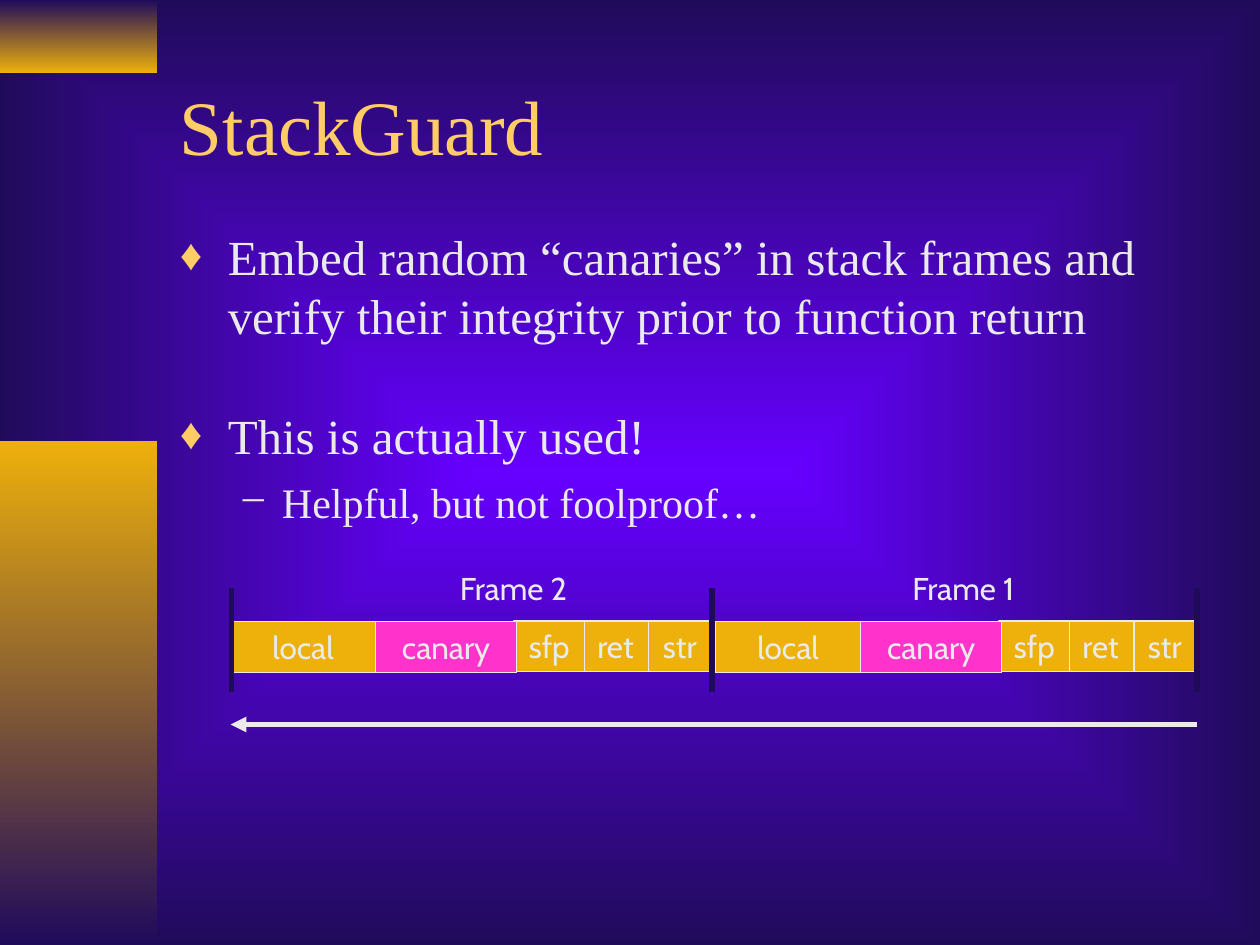
from typing import Any, NamedTuple

from lxml.etree import SubElement
from pptx import Presentation
from pptx.dml.color import RGBColor
from pptx.enum.shapes import MSO_CONNECTOR, MSO_SHAPE
from pptx.enum.text import MSO_ANCHOR, PP_ALIGN
from pptx.oxml.ns import qn
from pptx.util import Inches, Pt

GOLD, PINK, NAVY, VIOLET = "EEB00B", "FF33CC", "200B5B", "6600FF"
PALE, AMBER = "EAEAEA", "FFCC66"
SERIF, SANS = "Times New Roman", "Cabin"


class Cell(NamedTuple):
    label: str
    offset: float
    width: float
    height: float = 0.4
    color: str = GOLD


class Frame(NamedTuple):
    label: str
    left: float
    label_left: float


class Bullet(NamedTuple):
    text: str
    size: int
    level: int
    margin: float
    hanging: float
    mark: str
    mark_color: str
    mark_percent: int
    formats: dict[str, Any]


# Back to front, so that each cell overlaps the one on its right
CELLS = [
    Cell("str", 3.31, 0.51),
    Cell("ret", 2.79, 0.53),
    Cell("sfp", 2.25, 0.56),
    Cell("local", 0, 1.15, 0.41),
    Cell("canary", 1.15, 1.12, 0.41, PINK),
]
FRAMES = [Frame("Frame 1", 5.68, 7.07), Frame("Frame 2", 1.83, 3.5)]
DIVIDERS = [1.84, 5.65, 9.5]
BULLETS = [
    Bullet("Embed random “canaries” in stack frames and verify their integrity "
           "prior to function return", 28, 0, 0.38, 0.38, "♦", AMBER, 90, {}),
    Bullet("This is actually used!", 28, 0, 0.38, 0.38, "♦", AMBER, 90,
           {"space_before": Pt(35)}),
    Bullet("Helpful, but not foolproof…", 24, 1, 0.81, 0.31, "–", PALE, 100,
           {"space_before": Pt(24), "line_spacing": 0.3}),
]


def rgb(color: str) -> RGBColor:
    return RGBColor.from_string(color)


def apply(target: Any, formats: dict[str, Any]) -> None:
    for name, value in formats.items():
        setattr(target, name, value)


def set_gradient(fill: Any, colors: tuple[str, str]) -> None:
    fill.gradient()
    for stop, color in zip(fill.gradient_stops, colors):
        stop.color.rgb = rgb(color)


def add_run(paragraph: Any, text: str, size: int, font: str, color: str) -> None:
    run = paragraph.add_run()
    run.text = text
    apply(run.font, {"size": Pt(size), "name": font})
    run.font.color.rgb = rgb(color)


def add_text_box(slide: Any, left: float, top: float, width: float, height: float,
                 formats: dict[str, Any]) -> Any:
    box = slide.shapes.add_textbox(Inches(left), Inches(top), Inches(width), Inches(height))
    apply(box.text_frame, formats)
    return box.text_frame


def add_rectangle(slide: Any, left: float, top: float, width: float, height: float) -> Any:
    shape = slide.shapes.add_shape(
        MSO_SHAPE.RECTANGLE, Inches(left), Inches(top), Inches(width), Inches(height))
    shape.shadow.inherit = False
    return shape


def add_band(slide: Any, top: float, height: float, colors: tuple[str, str]) -> None:
    band = add_rectangle(slide, 0, top, 1.25, height)
    set_gradient(band.fill, colors)
    band.fill.gradient_angle = 270
    band.line.fill.background()


def add_bullet(paragraph: Any, bullet: Bullet) -> None:
    paragraph.level = bullet.level
    properties = paragraph._p.get_or_add_pPr()
    properties.set("marL", str(Inches(bullet.margin)))
    properties.set("indent", str(-Inches(bullet.hanging)))
    mark_color = SubElement(properties, qn("a:buClr"))
    SubElement(mark_color, qn("a:srgbClr"), val=bullet.mark_color)
    SubElement(properties, qn("a:buSzPct"), val=str(bullet.mark_percent * 1000))
    SubElement(properties, qn("a:buFont"), typeface=SERIF)
    SubElement(properties, qn("a:buChar"), char=bullet.mark)
    apply(paragraph, bullet.formats)
    add_run(paragraph, bullet.text, bullet.size, SERIF, PALE)


def add_cell(slide: Any, frame: Frame, cell: Cell) -> None:
    shape = add_rectangle(slide, frame.left + cell.offset, 4.93, cell.width, cell.height)
    shape.fill.solid()
    shape.fill.fore_color.rgb = rgb(cell.color)
    shape.line.color.rgb = rgb(PALE)
    shape.line.width = Pt(0.75)
    apply(shape.text_frame, {"word_wrap": False, "vertical_anchor": MSO_ANCHOR.MIDDLE})
    paragraph = shape.text_frame.paragraphs[0]
    paragraph.alignment = PP_ALIGN.CENTER
    add_run(paragraph, cell.label, 18, SANS, PALE)


def add_line(slide: Any, start: tuple[float, float], end: tuple[float, float],
             color: str) -> Any:
    line = slide.shapes.add_connector(
        MSO_CONNECTOR.STRAIGHT, *(Inches(value) for value in start + end))
    line.line.color.rgb = rgb(color)
    line.line.width = Pt(3)
    SubElement(line._element.spPr, qn("a:effectLst"))
    return line


def main() -> None:
    presentation = Presentation()
    apply(presentation, {"slide_width": Inches(10), "slide_height": Inches(7.5)})
    slide = presentation.slides.add_slide(presentation.slide_layouts[6])

    # Background glow from the centre
    set_gradient(slide.background.fill, (VIOLET, NAVY))
    glow = slide._element.find(".//" + qn("a:gradFill"))
    glow.remove(glow.find(qn("a:lin")))
    glow_shape = SubElement(glow, qn("a:path"), {"path": "rect"})
    SubElement(glow_shape, qn("a:fillToRect"), dict.fromkeys("ltrb", "50000"))

    # Side bands
    add_band(slide, 0, 0.58, (NAVY, GOLD))
    add_band(slide, 3.5, 4, (GOLD, NAVY))

    # Title and bullets
    title = add_text_box(slide, 1.33, 0.33, 8.5, 1.32,
                         {"word_wrap": True, "vertical_anchor": MSO_ANCHOR.MIDDLE})
    add_run(title.paragraphs[0], "StackGuard", 44, SERIF, AMBER)
    body = add_text_box(slide, 1.33, 1.75, 8.5, 4.92, {"word_wrap": True})
    for index, bullet in enumerate(BULLETS):
        add_bullet(body.add_paragraph() if index else body.paragraphs[0], bullet)

    # Stack frames
    for frame in FRAMES:
        for cell in CELLS:
            add_cell(slide, frame, cell)
        label = add_text_box(slide, frame.label_left, 4.47, 1.15, 0.4, {"word_wrap": False})
        label.paragraphs[0].alignment = PP_ALIGN.CENTER
        add_run(label.paragraphs[0], frame.label, 18, SANS, PALE)

    # Frame dividers and direction arrow
    for x in DIVIDERS:
        add_line(slide, (x, 4.67), (x, 5.49), NAVY)
    arrow = add_line(slide, (9.5, 5.75), (1.83, 5.75), PALE)
    SubElement(arrow.line._get_or_add_ln(), qn("a:tailEnd"), type="triangle")

    presentation.save("out.pptx")


if __name__ == "__main__":
    main()
